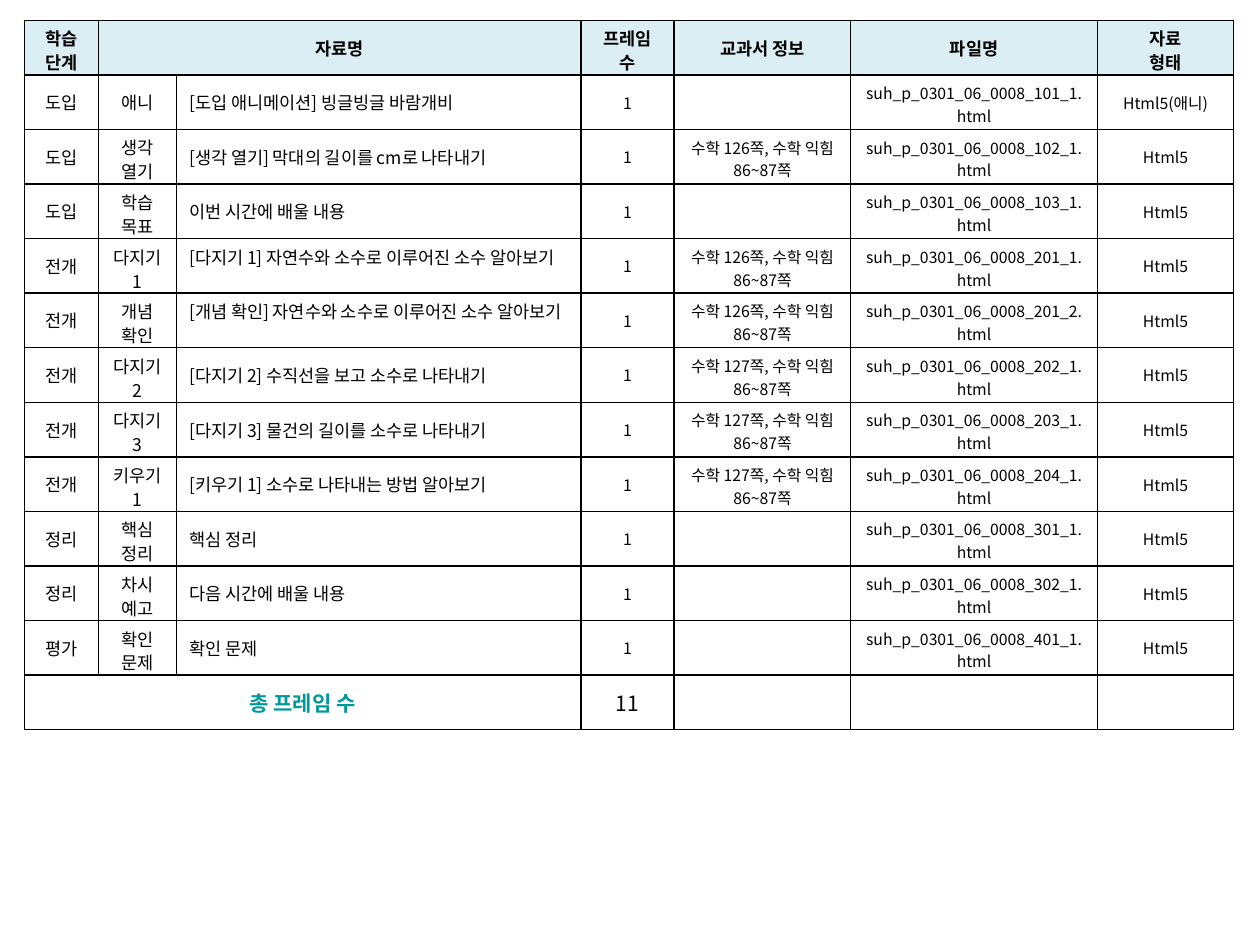
from lxml import etree
from pptx import Presentation
from pptx import util as u
from pptx.dml.color import RGBColor
from pptx.enum import text
from pptx.oxml.ns import qn

HEADINGS = ["학습 단계", "자료명", "", "프레임 수", "교과서 정보", "파일명", "자료\n형태"]
PAGES_126 = "수학 126쪽, 수학 익힘 86~87쪽"
PAGES_127 = "수학 127쪽, 수학 익힘 86~87쪽"
LESSONS = [
    ("도입", "애니", "[도입 애니메이션] 빙글빙글 바람개비", "", "101_1", "Html5(애니)"),
    ("도입", "생각 열기", "[생각 열기] 막대의 길이를 cm로 나타내기", PAGES_126, "102_1", "Html5"),
    ("도입", "학습 목표", "이번 시간에 배울 내용", "", "103_1", "Html5"),
    ("전개", "다지기 1", "[다지기 1] 자연수와 소수로 이루어진 소수 알아보기", PAGES_126, "201_1", "Html5"),
    ("전개", "개념 확인", "[개념 확인] 자연수와 소수로 이루어진 소수 알아보기", PAGES_126, "201_2", "Html5"),
    ("전개", "다지기 2", "[다지기 2] 수직선을 보고 소수로 나타내기", PAGES_127, "202_1", "Html5"),
    ("전개", "다지기 3", "[다지기 3] 물건의 길이를 소수로 나타내기", PAGES_127, "203_1", "Html5"),
    ("전개", "키우기1", "[키우기 1] 소수로 나타내는 방법 알아보기", PAGES_127, "204_1", "Html5"),
    ("정리", "핵심 정리", "핵심 정리", "", "301_1", "Html5"),
    ("정리", "차시 예고", "다음 시간에 배울 내용", "", "302_1", "Html5"),
    ("평가", "확인 문제", "확인 문제", "", "401_1", "Html5"),
]
TOTAL = ["총 프레임 수", "", "", str(len(LESSONS)), "", "", ""]

THEME = {
    "font": "Noto Sans CJK KR",
    "ink": "000000", "accent": "009999", "header": "DBEEF4", "paper": "FFFFFF",
    "body": 10, "detail": 9, "total": 12, "border": 1, "tight": 0.95,
}
COLUMN_WIDTHS = [1.5, 1.57, 8.15, 1.88, 3.56, 4.97, 2.75]
LINE_CAPACITY = [2, 3, 26, 4, 14, 24, 10]
ROW_HEIGHT = 1.1
LEFT, TOP = 0.49, 0.41
HEADING_MARGIN = 0.3
TITLE_COLUMN, FRAME_COLUMN = 2, 3


def wraps(words, column):
    return "\n" in words or len(words) > LINE_CAPACITY[column]


def draw_borders(cell):
    properties = cell._tc.get_or_add_tcPr()
    for position, side in enumerate(("a:lnL", "a:lnR", "a:lnT", "a:lnB")):
        line = etree.Element(qn(side), w=str(u.Pt(THEME["border"])))
        fill = etree.SubElement(line, qn("a:solidFill"))
        etree.SubElement(fill, qn("a:srgbClr"), val=THEME["ink"])
        properties.insert(position, line)


def fill_cell(cell, words, size, fill, color="ink", bold=False, centred=True, two_lines=False):
    cell.fill.solid()
    cell.fill.fore_color.rgb = RGBColor.from_string(THEME[fill])
    draw_borders(cell)
    cell.vertical_anchor = text.MSO_ANCHOR.MIDDLE
    if two_lines:
        cell.vertical_anchor = text.MSO_ANCHOR.TOP
        cell.margin_bottom = 0
    cell.text_frame.text = words
    for paragraph in cell.text_frame.paragraphs:
        paragraph.alignment = text.PP_ALIGN.CENTER if centred else text.PP_ALIGN.LEFT
        if two_lines and size == "body":
            paragraph.line_spacing = THEME["tight"]
        if not words:
            etree.SubElement(paragraph._p, qn("a:endParaRPr"), sz=str(THEME[size] * 100))
        for run in paragraph.runs:
            run.font.size = u.Pt(THEME[size])
            run.font.bold = bold
            run.font.name = THEME["font"]
            run.font.color.rgb = RGBColor.from_string(THEME[color])
            etree.SubElement(run._r.get_or_add_rPr(), qn("a:ea"), typeface=THEME["font"])


def main():
    deck = Presentation()
    deck.slide_width, deck.slide_height = u.Cm(25.4), u.Cm(19.05)
    slide = deck.slides.add_slide(deck.slide_layouts[6])

    row_count = len(LESSONS) + 2
    plan = slide.shapes.add_table(
        row_count, len(COLUMN_WIDTHS), u.Cm(LEFT), u.Cm(TOP),
        u.Cm(sum(COLUMN_WIDTHS)), u.Cm(ROW_HEIGHT * row_count)).table
    plan.first_row = plan.horz_banding = False
    for column, width in zip(plan.columns, COLUMN_WIDTHS):
        column.width = u.Cm(width)
    for row in plan.rows:
        row.height = u.Cm(ROW_HEIGHT)

    for column, heading in enumerate(HEADINGS):
        cell = plan.cell(0, column)
        cell.margin_left = cell.margin_right = u.Cm(HEADING_MARGIN)
        fill_cell(cell, heading, "body", "header", bold=True, two_lines=wraps(heading, column))
    for row, (stage, activity, title, pages, number, form) in enumerate(LESSONS, 1):
        file_name = f"suh_p_0301_06_0008_{number}.html"
        for column, words in enumerate((stage, activity, title, "1", pages, file_name, form)):
            size = "body" if column < FRAME_COLUMN else "detail"
            fill_cell(plan.cell(row, column), words, size, "paper",
                      centred=column != TITLE_COLUMN, two_lines=wraps(words, column))
    last = row_count - 1
    for column, words in enumerate(TOTAL):
        is_label = column < FRAME_COLUMN
        fill_cell(plan.cell(last, column), words, "total", "paper",
                  color="accent" if is_label else "ink", bold=is_label)

    plan.cell(0, 1).merge(plan.cell(0, TITLE_COLUMN))
    plan.cell(last, 0).merge(plan.cell(last, TITLE_COLUMN))
    deck.save("out.pptx")


if __name__ == "__main__":
    main()
